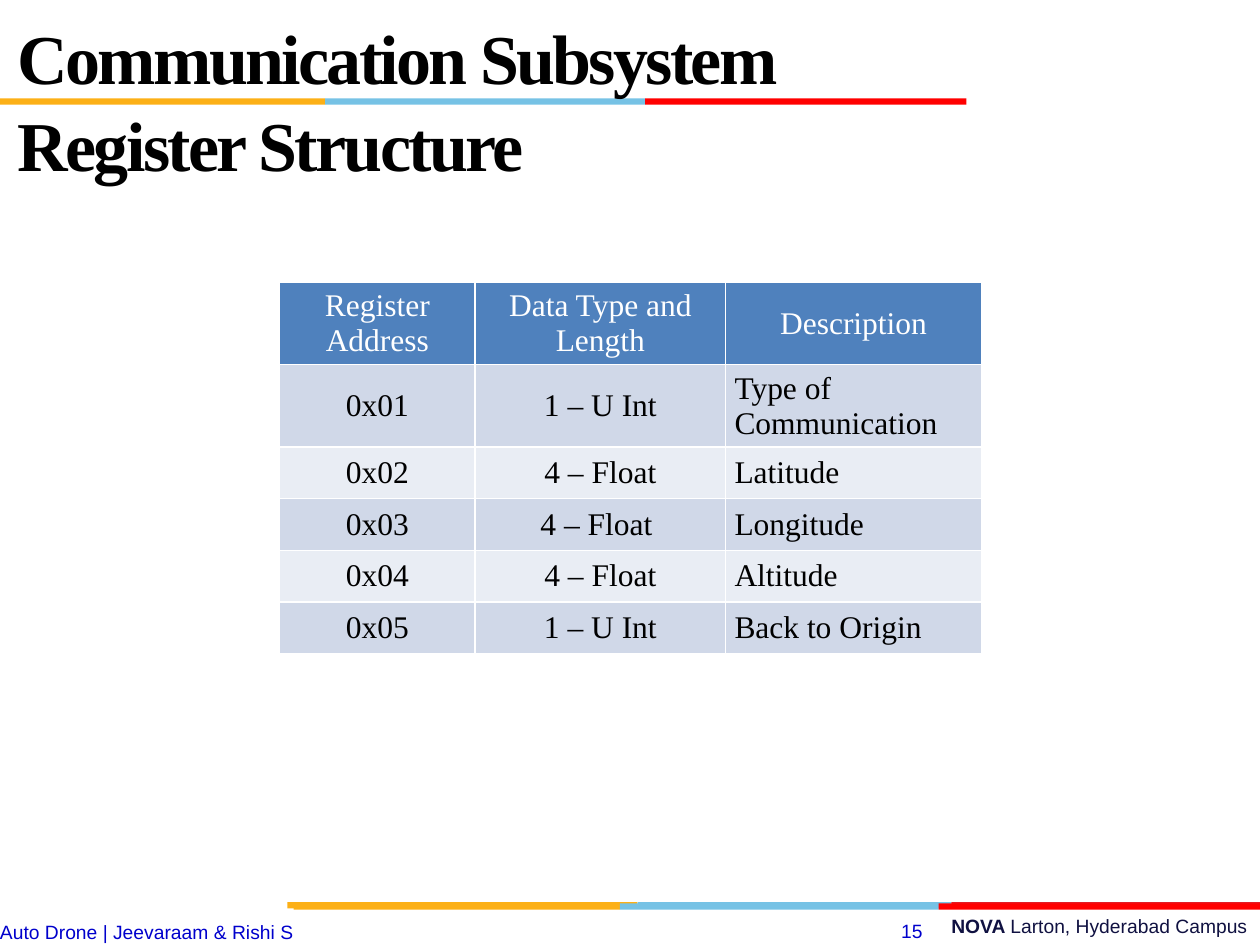
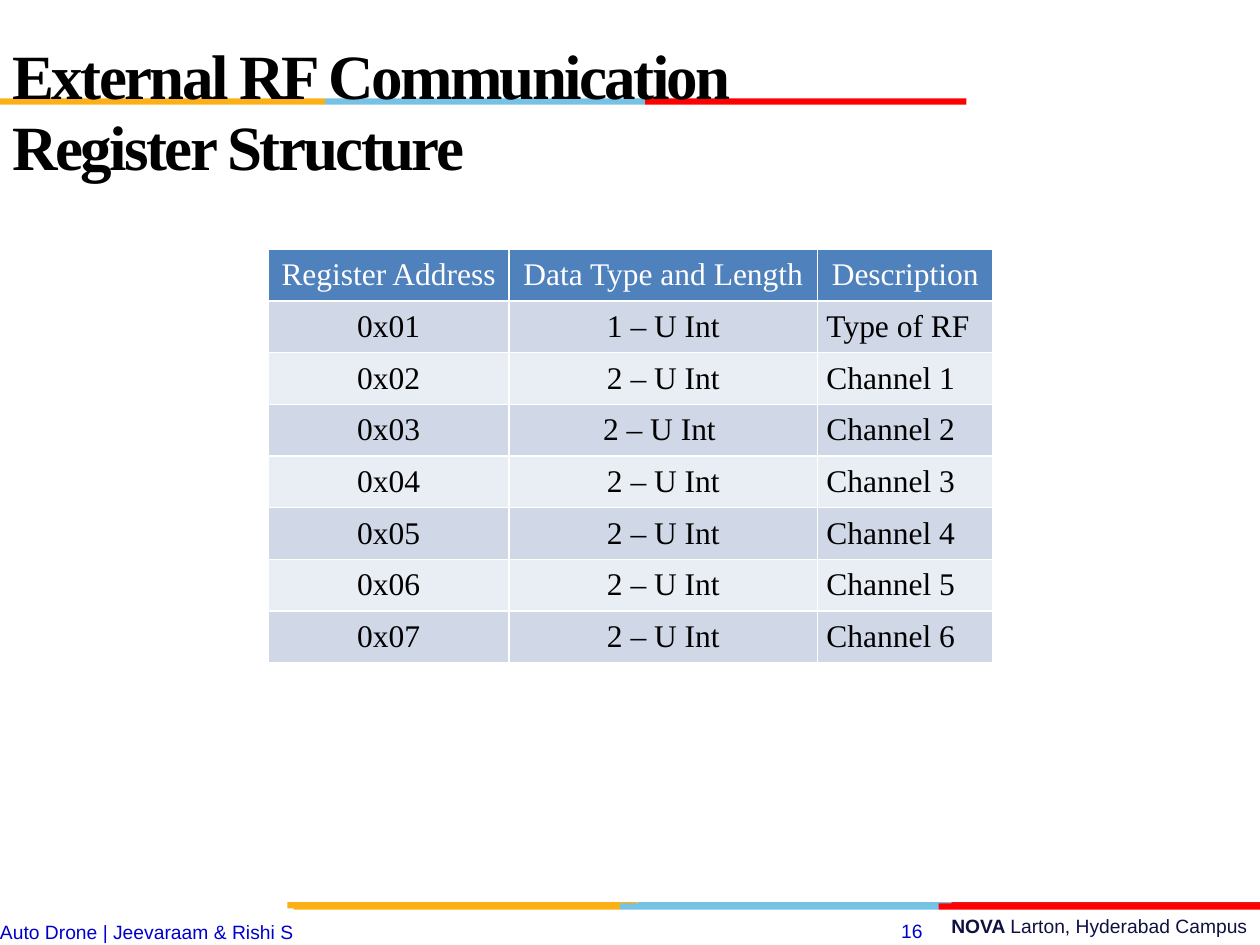
import pptx
import pptx.dml.color
import pptx.enum.shapes
import pptx.enum.text
import pptx.oxml
import pptx.oxml.ns
import pptx.util

Inches = pptx.util.Inches
Align = pptx.enum.text.PP_ALIGN
Anchor = pptx.enum.text.MSO_ANCHOR

ROW_HEIGHT = 0.41
HEADERS = ("Register Address", "Data Type and Length", "Description")


def color(hex_string):
    return pptx.dml.color.RGBColor.from_string(hex_string)


def add_text(paragraph, text, *, font, size, hex_color, bold=False, align=Align.LEFT, spacing=None):
    paragraph.alignment = align
    run = paragraph.add_run()
    run.text = text
    run.font.name = font
    run.font.size = pptx.util.Pt(size)
    run.font.bold = bold
    run.font.color.rgb = color(hex_color)
    if spacing is not None:
        run._r.get_or_add_rPr().set("spc", str(int(spacing * 100)))


def set_insets(target, left, top, right, bottom):
    target.margin_left, target.margin_top = Inches(left), Inches(top)
    target.margin_right, target.margin_bottom = Inches(right), Inches(bottom)


class RegisterDeck:
    SERIF = "Times New Roman"
    SANS = "Arial"
    BLACK, WHITE = "000000", "FFFFFF"
    NAVY, BLUE = "101141", "0000CC"
    YELLOW, SKY, RED, CRIMSON = "FCB017", "76C2E5", "FF0000", "E31C24"
    HEADER_FILL = "4F81BD"
    ROW_FILLS = ("D0D8E8", "E9EDF4")
    BAND_HEIGHT = 0.05

    def __init__(self):
        self.presentation = pptx.Presentation()
        self.presentation.slide_width = Inches(10)
        self.presentation.slide_height = Inches(7.5)
        self.slide = None

    def add_slide(self, number):
        layout = self.presentation.slide_layouts.get_by_name("Title Only")
        self.slide = self.presentation.slides.add_slide(layout)
        self.add_footer(number)
        self.add_band(7.16, (2.28, 5.06, 7.55, 10), (self.YELLOW, self.SKY, self.CRIMSON))
        stripes = (self.YELLOW, self.SKY, self.RED)
        self.add_band(7.17, (2.33, 4.92, 7.45, 10), stripes)
        self.add_band(0.78, (0, 2.58, 5.12, 7.67), stripes)

    def add_band(self, top, edges, stripe_colors):
        for left, right, stripe_color in zip(edges, edges[1:], stripe_colors):
            shape = self.slide.shapes.add_shape(
                pptx.enum.shapes.MSO_SHAPE.RECTANGLE,
                Inches(left), Inches(top), Inches(right - left), Inches(self.BAND_HEIGHT))
            shape.shadow.inherit = False
            shape.fill.solid()
            shape.fill.fore_color.rgb = color(stripe_color)
            shape.line.fill.background()

    def add_text_box(self, left, top, width, height, insets=(0.1, 0.05, 0.1, 0.05)):
        shape = self.slide.shapes.add_textbox(
            Inches(left), Inches(top), Inches(width), Inches(height))
        shape.text_frame.word_wrap = True
        set_insets(shape.text_frame, *insets)
        return shape.text_frame.paragraphs[0]

    def add_footer(self, number):
        small = {"font": self.SANS, "size": 11}
        campus = self.add_text_box(3.58, 7.21, 6.42, 0.29)
        for text, bold in (("NOVA ", True), ("Larton, Hyderabad Campus", False)):
            add_text(campus, text, hex_color=self.NAVY, bold=bold, align=Align.RIGHT, **small)
        page = self.add_text_box(6.67, 7.25, 0.75, 0.28)
        add_text(page, str(number), hex_color=self.BLUE, align=Align.RIGHT, **small)
        credit = self.add_text_box(0, 7.3, 7, 0.19, insets=(0, 0, 0, 0))
        add_text(credit, "Auto Drone | Jeevaraam & Rishi S", hex_color=self.BLUE, **small)

    def add_title(self, text, left, top, width, size, line_spacing):
        title = self.slide.shapes.title
        title.left, title.top = Inches(left), Inches(top)
        title.width, title.height = Inches(width), Inches(1.25)
        frame = title.text_frame
        frame.auto_size = pptx.enum.text.MSO_AUTO_SIZE.NONE
        frame.word_wrap = True
        frame.vertical_anchor = Anchor.TOP
        set_insets(frame, 0.1, 0.09, 0.1, 0.05)
        paragraph = frame.paragraphs[0]
        paragraph.line_spacing = line_spacing
        add_text(paragraph, text, font=self.SERIF, size=size, hex_color=self.BLACK,
                 bold=True, spacing=-1.5)
        self.slide.shapes._spTree.append(title._element)

    def add_table(self, left, top, column_widths, rows):
        rows = [HEADERS, *rows]
        frame = self.slide.shapes.add_table(
            len(rows), len(column_widths), Inches(left), Inches(top),
            Inches(sum(column_widths)), Inches(ROW_HEIGHT * len(rows)))
        table = frame.table
        for column, width in zip(table.columns, column_widths):
            column.width = Inches(width)
        for row_index, row in enumerate(rows):
            table.rows[row_index].height = Inches(ROW_HEIGHT)
            is_header = row_index == 0
            fill = self.HEADER_FILL if is_header else self.ROW_FILLS[(row_index - 1) % 2]
            for column_index, text in enumerate(row):
                centered = is_header or column_index < 2
                self.fill_cell(table.cell(row_index, column_index), text, fill,
                               self.WHITE if is_header else self.BLACK,
                               Align.CENTER if centered else Align.LEFT)

    def fill_cell(self, cell, text, fill, text_color, align):
        properties = cell._tc.get_or_add_tcPr()
        for side in "LRTB":
            properties.append(pptx.oxml.parse_xml(
                f'<a:ln{side} {pptx.oxml.ns.nsdecls("a")} w="12700"><a:solidFill>'
                f'<a:srgbClr val="{self.WHITE}"/></a:solidFill></a:ln{side}>'))
        cell.fill.solid()
        cell.fill.fore_color.rgb = color(fill)
        cell.vertical_anchor = Anchor.MIDDLE
        set_insets(cell, 0.07, 0.05, 0.07, 0.05)
        add_text(cell.text_frame.paragraphs[0], text, font=self.SERIF, size=18,
                 hex_color=text_color, align=align)


def main():
    deck = RegisterDeck()

    deck.add_slide(15)
    deck.add_title("Communication Subsystem Register Structure", 0.04, 0, 7.21, 40, 1.04)
    deck.add_table(2.22, 2.24, (1.55, 1.99, 2.03), [
        ("0x01", "1 – U Int", "Type of Communication"),
        ("0x02", "4 – Float", "Latitude"),
        ("0x03", "4 – Float ", "Longitude"),
        ("0x04", "4 – Float", "Altitude"),
        ("0x05", "1 – U Int", "Back to Origin"),
    ])

    deck.add_slide(16)
    deck.add_title("External RF Communication Register Structure", 0, 0.25, 7.26, 36, 0.94)
    deck.add_table(2.13, 1.98, (1.91, 2.45, 1.39), [
        ("0x01", "1 – U Int", "Type of RF"),
        ("0x02", "2 – U Int", "Channel 1"),
        ("0x03", "2 – U Int ", "Channel 2"),
        *((f"0x0{channel + 1}", "2 – U Int", f"Channel {channel}") for channel in range(3, 7)),
    ])

    deck.presentation.save("out.pptx")


if __name__ == "__main__":
    main()
